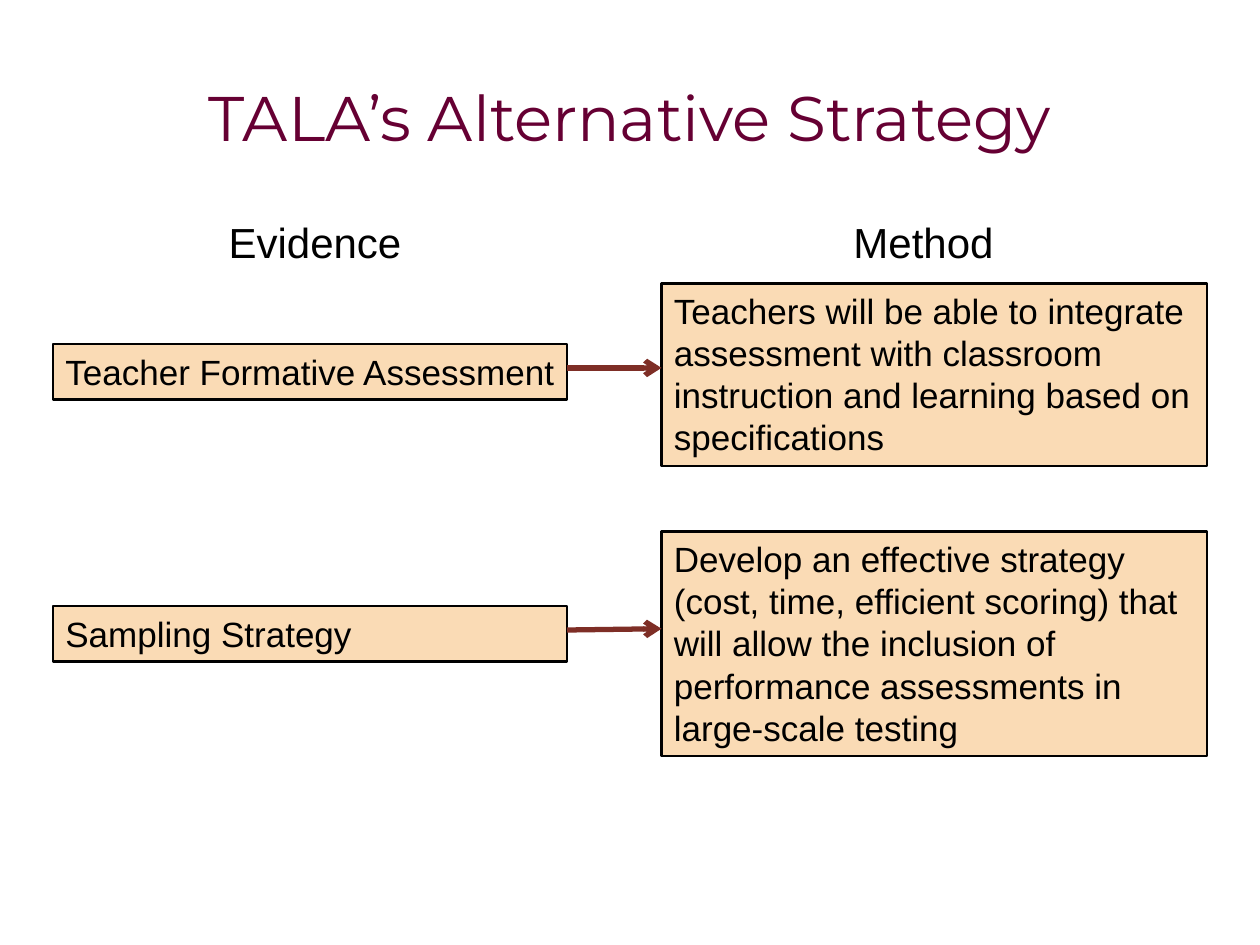
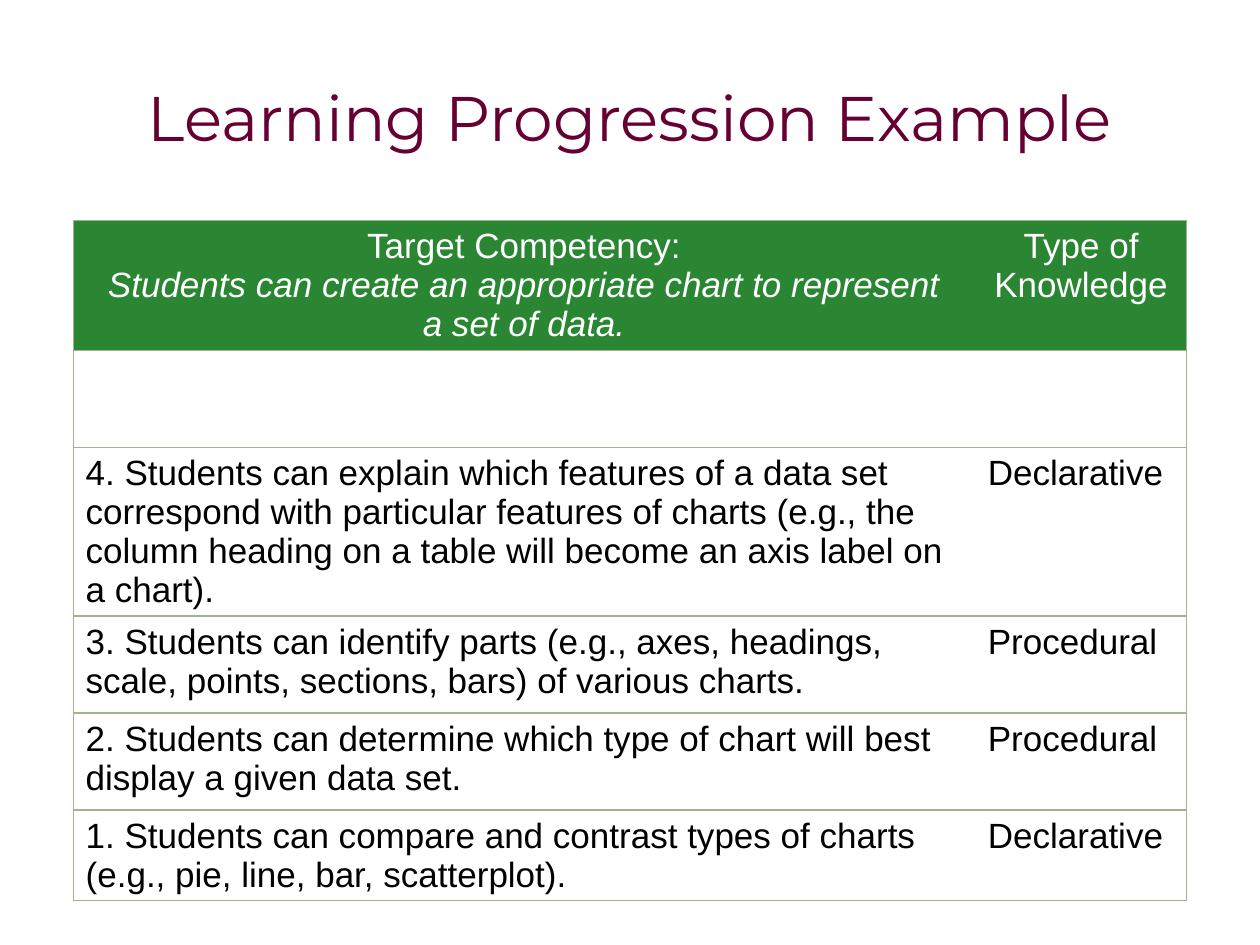
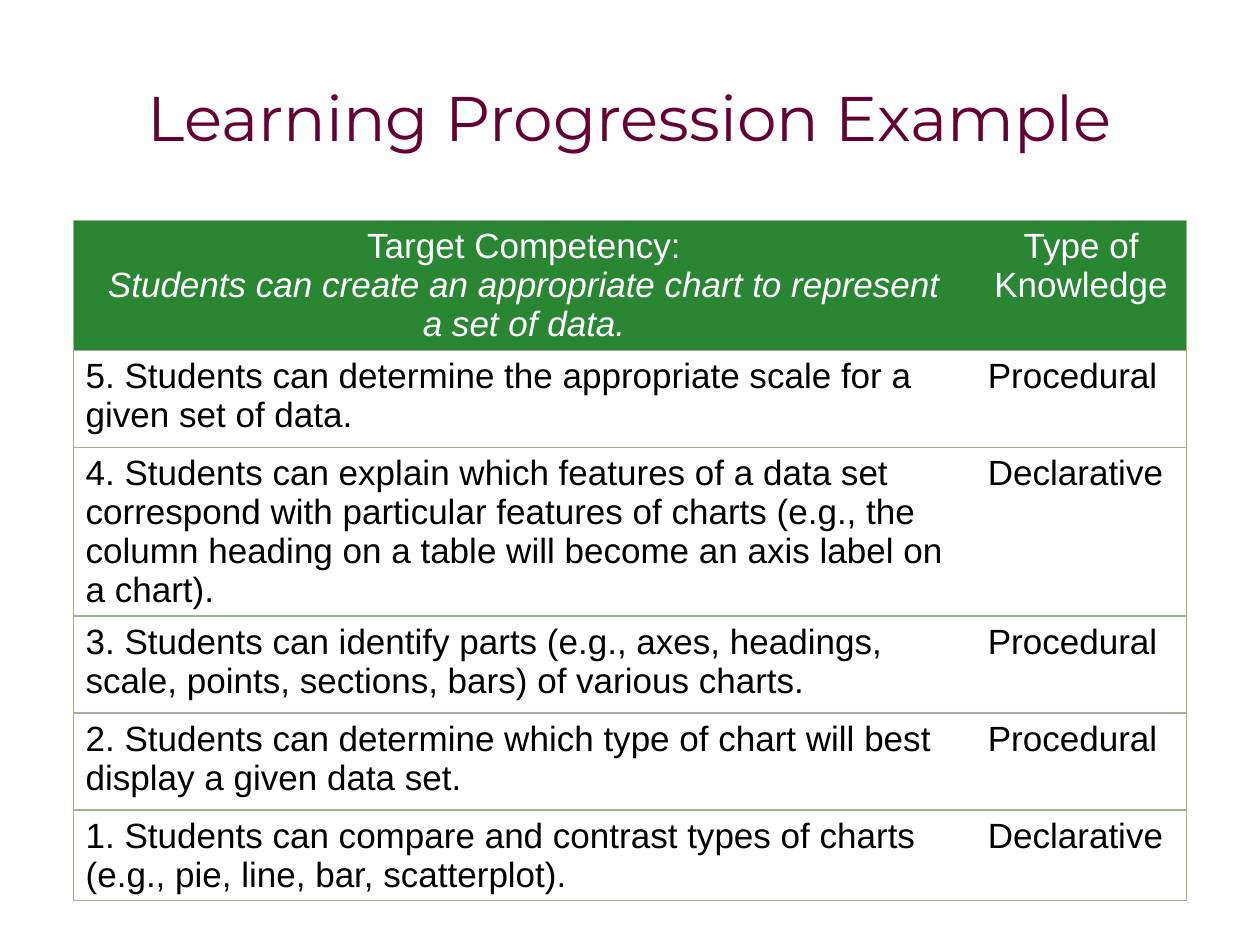
from dataclasses import dataclass

import pptx
import pptx.dml.color
import pptx.enum.shapes
import pptx.enum.text
import pptx.oxml
import pptx.oxml.ns
import pptx.util
from pptx.util import Inches

COLORS = {
    "title": "660033",
    "text": "000000",
    "header_text": "FFFFFF",
    "header": "2A8633",
    "border": "A1B28E",
    "box": "FADBB5",
    "arrow": "7E2E26",
}
TITLE_FONT, BODY_FONT = "Montserrat", "Arial"
TITLE_ONLY = 5
ALIGN = pptx.enum.text.PP_ALIGN
ANCHOR = pptx.enum.text.MSO_ANCHOR
LINE_RATIO = 1.2  # line pitch of diagram text, relative to its size


@dataclass(frozen=True)
class TextBox:
    text: str
    left: float
    top: float
    width: float
    height: float


@dataclass(frozen=True)
class Arrow:
    start: tuple[float, float]
    end: tuple[float, float]


@dataclass(frozen=True)
class Competency:
    text: str = ""
    knowledge: str = ""


# Content
HEADINGS = [
    TextBox("Evidence", 0.5, 1.67, 4, 0.58),
    TextBox("Method", 5.33, 1.67, 4, 0.58),
]
STRATEGY_BOXES = [
    TextBox("Sampling Strategy", 0.42, 4.81, 4.08, 0.44),
    TextBox("Develop an effective strategy (cost, time, efficient scoring) that will allow "
            "the inclusion of performance assessments in large-scale testing",
            5.25, 4.22, 4.33, 1.78),
    TextBox("Teacher Formative Assessment", 0.42, 2.73, 4.08, 0.44),
    TextBox("Teachers will be able to integrate assessment with classroom instruction "
            "and learning based on specifications", 5.25, 2.25, 4.33, 1.45),
]
ARROWS = [Arrow((4.5, 5), (5.25, 4.99)), Arrow((4.5, 2.92), (5.25, 2.92))]

TOP_COMPETENCY = Competency(
    "5. Students can determine the appropriate scale for a given set of data.", "Procedural")
COMPETENCIES = [
    Competency("4. Students can explain which features of a data set correspond with "
               "particular features of charts (e.g., the column heading on a table will "
               "become an axis label on a chart).", "Declarative"),
    Competency("3. Students can identify parts (e.g., axes, headings, scale, points, "
               "sections, bars) of various charts.", "Procedural"),
    Competency("2. Students can determine which type of chart will best display a given "
               "data set.", "Procedural"),
    Competency("1. Students can compare and contrast types of charts (e.g., pie, line, bar, "
               "scatterplot).", "Declarative"),
]
COLUMN_WIDTHS = [7.16, 1.68]
ROW_HEIGHTS = [0.9, 0.77, 0.77, 0.77, 0.77, 0.7]


def rgb(name: str) -> pptx.dml.color.RGBColor:
    return pptx.dml.color.RGBColor.from_string(COLORS[name])


def add_text(para, text: str, *, size: float = 20, font: str = BODY_FONT,
             color: str = "text", italic: bool = False, align=ALIGN.LEFT,
             line_pitch: float | None = None) -> None:
    """Append a formatted span to a paragraph."""
    para.alignment = align
    if line_pitch:
        para.line_spacing = pptx.util.Pt(line_pitch)
    span = para.add_run()
    span.text = text
    span.font.size = pptx.util.Pt(size)
    span.font.name = font
    span.font.italic = italic
    span.font.color.rgb = rgb(color)


def add_page(deck, title: str):
    page = deck.slides.add_slide(deck.slide_layouts[TITLE_ONLY])
    box = page.shapes.title
    box.left, box.top, box.width, box.height = map(Inches, (0.5, 0.3, 9, 1.25))
    box.text_frame.vertical_anchor = ANCHOR.MIDDLE
    add_text(box.text_frame.paragraphs[0], title, size=36, font=TITLE_FONT,
             color="title", align=ALIGN.CENTER)
    return page


# Strategy diagram
def place(item: TextBox) -> list:
    return [Inches(value) for value in (item.left, item.top, item.width, item.height)]


def draw_heading(page, heading: TextBox) -> None:
    box = page.shapes.add_textbox(*place(heading))
    box.text_frame.word_wrap = True
    add_text(box.text_frame.paragraphs[0], heading.text, size=24, align=ALIGN.CENTER,
             line_pitch=24 * LINE_RATIO)


def draw_strategy_box(page, item: TextBox) -> None:
    box = page.shapes.add_shape(pptx.enum.shapes.MSO_SHAPE.RECTANGLE, *place(item))
    box.shadow.inherit = False
    box.fill.solid()
    box.fill.fore_color.rgb = rgb("box")
    box.line.color.rgb = rgb("text")
    box.line.width = pptx.util.Pt(1.5)
    frame = box.text_frame
    frame.word_wrap = True
    frame.vertical_anchor = ANCHOR.TOP
    frame.margin_right = Inches(0.05)
    add_text(frame.paragraphs[0], item.text, line_pitch=20 * LINE_RATIO)


def draw_arrow(page, arrow: Arrow) -> None:
    line = page.shapes.add_connector(
        pptx.enum.shapes.MSO_CONNECTOR.STRAIGHT,
        *(Inches(value) for value in arrow.start + arrow.end))
    line.line.color.rgb = rgb("arrow")
    line.line.width = pptx.util.Pt(3)
    tail = pptx.oxml.parse_xml(
        f'<a:tailEnd {pptx.oxml.ns.nsdecls("a")} type="arrow"/>')
    line.line._get_or_add_ln().append(tail)
    effects = pptx.oxml.parse_xml(f'<a:effectLst {pptx.oxml.ns.nsdecls("a")}/>')
    line._element.spPr.append(effects)


def build_strategy_page(deck) -> None:
    page = add_page(deck, "TALA’s Alternative Strategy")
    for heading in HEADINGS:
        draw_heading(page, heading)
    for item in STRATEGY_BOXES:
        draw_strategy_box(page, item)
    for arrow in ARROWS:
        draw_arrow(page, arrow)


# Competency table
def set_borders(cell, visible: str) -> None:
    """Draw the named sides (from L, R, T, B) and clear the others."""
    properties = cell._tc.get_or_add_tcPr()
    for side in "LRTB":
        paint = (f'<a:solidFill><a:srgbClr val="{COLORS["border"]}"/></a:solidFill>'
                 if side in visible else "<a:noFill/>")
        properties.append(pptx.oxml.parse_xml(
            f'<a:ln{side} {pptx.oxml.ns.nsdecls("a")} w="{pptx.util.Pt(0.75)}">'
            f'{paint}</a:ln{side}>'))


def fill_header(table) -> None:
    style = {"color": "header_text", "align": ALIGN.CENTER}
    target, knowledge = (table.cell(0, column).text_frame for column in range(2))
    para = target.paragraphs[0]
    add_text(para, "Target Competency:", **style)
    para.add_line_break()
    add_text(para, "Students can create an appropriate chart to represent",
             italic=True, **style)
    add_text(target.add_paragraph(), "a set of data.", italic=True, **style)
    add_text(knowledge.paragraphs[0], "Type of Knowledge", **style)


def build_progression_page(deck, first: Competency) -> None:
    page = add_page(deck, "Learning Progression Example")
    rows = [first, *COMPETENCIES]
    table = page.shapes.add_table(
        len(rows) + 1, 2, Inches(0.58), Inches(1.75),
        Inches(sum(COLUMN_WIDTHS)), Inches(sum(ROW_HEIGHTS))).table
    table.first_row = table.horz_banding = False
    for column, width in zip(table.columns, COLUMN_WIDTHS):
        column.width = Inches(width)
    for index, (row, height) in enumerate(zip(table.rows, ROW_HEIGHTS)):
        row.height = Inches(height)
        for cell, side in zip(row.cells, "LR"):
            set_borders(cell, side + "TB")
            if index == 0:
                cell.fill.solid()
                cell.fill.fore_color.rgb = rgb("header")
            else:
                cell.fill.background()
    fill_header(table)
    for index, item in enumerate(rows, start=1):
        for column, text in enumerate((item.text, item.knowledge)):
            if text:
                add_text(table.cell(index, column).text_frame.paragraphs[0], text)


def main() -> None:
    deck = pptx.Presentation()
    deck.slide_width, deck.slide_height = Inches(10), Inches(7.5)
    build_strategy_page(deck)
    for first in (Competency(), TOP_COMPETENCY):
        build_progression_page(deck, first)
    deck.save("out.pptx")


if __name__ == "__main__":
    main()
